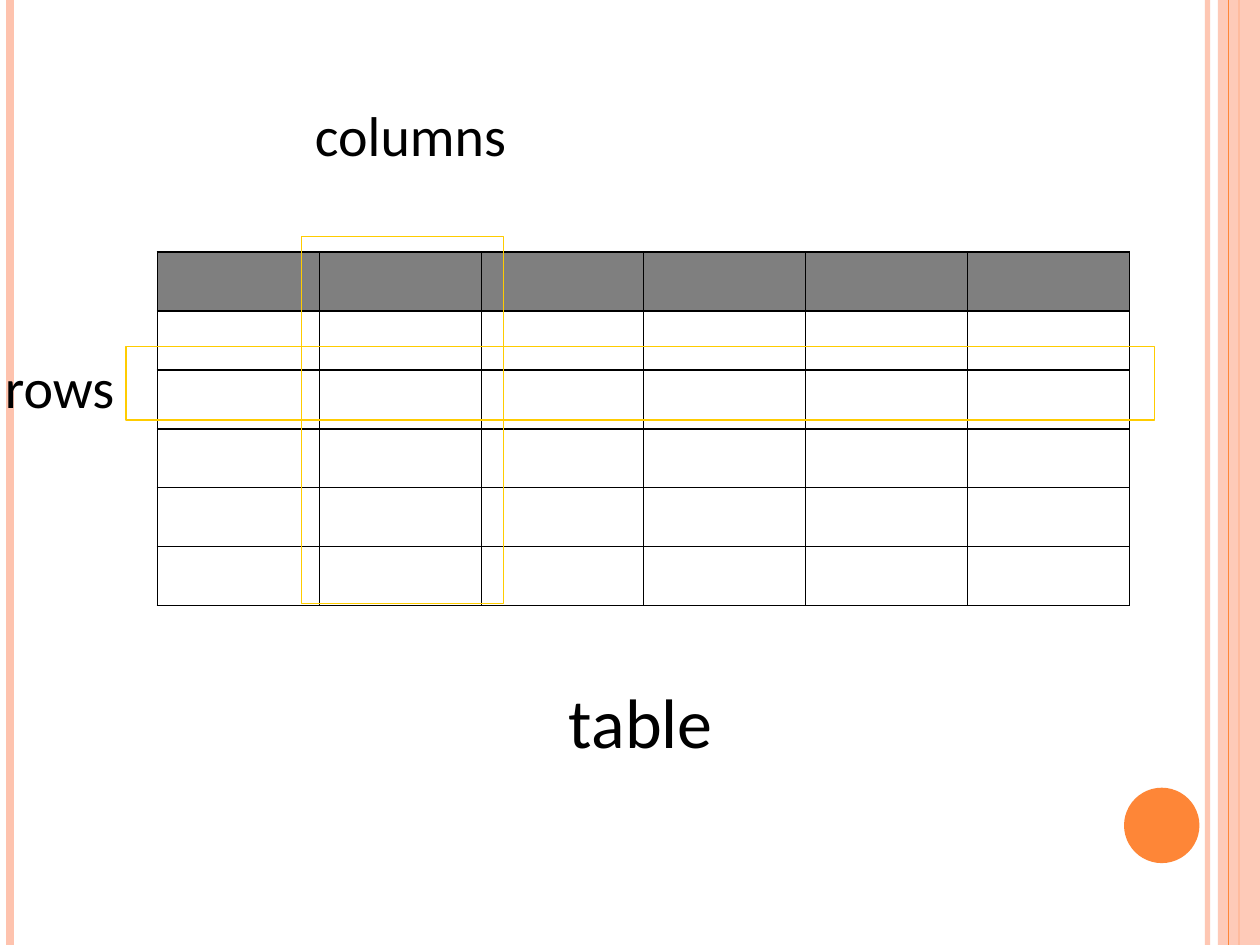
from dataclasses import dataclass

from lxml import etree
from pptx import Presentation
from pptx.dml.color import RGBColor
from pptx.enum.shapes import MSO_CONNECTOR, MSO_SHAPE
from pptx.oxml.ns import qn
from pptx.util import Cm, Pt

STRAIGHT = MSO_CONNECTOR.STRAIGHT
RECTANGLE = MSO_SHAPE.RECTANGLE
OVAL = MSO_SHAPE.OVAL
WIDTH, HEIGHT = 25.4, 19.05


@dataclass(frozen=True)
class Theme:
    font: str = "Calibri"
    label_size: int = 32
    caption_size: int = 40
    text: str = "000000"
    border: str = "000000"
    header: str = "7F7F7F"
    highlight: str = "FFCC00"
    peach: str = "FEC3AE"
    orange: str = "FE8637"


class SlideBuilder:
    def __init__(self, slide, theme):
        self.slide = slide
        self.theme = theme

    def set_opacity(self, shape, percent):
        for color in shape.element.iter(qn("a:srgbClr")):
            etree.SubElement(color, qn("a:alpha"), val=str(percent * 1000))

    def vertical_line(self, x, color, width, opacity=100):
        line = self.slide.shapes.add_connector(STRAIGHT, Cm(x), Cm(0), Cm(x), Cm(HEIGHT))
        line.line.color.rgb = RGBColor.from_string(color)
        line.line.width = Pt(width)
        etree.SubElement(line.element.spPr, qn("a:effectLst"))
        if opacity < 100:
            self.set_opacity(line, opacity)

    def add_shape(self, kind, left, top, width, height):
        shape = self.slide.shapes.add_shape(kind, Cm(left), Cm(top), Cm(width), Cm(height))
        shape.shadow.inherit = False
        return shape

    def filled_shape(self, kind, left, top, width, height, color, opacity=100):
        shape = self.add_shape(kind, left, top, width, height)
        shape.fill.solid()
        shape.fill.fore_color.rgb = RGBColor.from_string(color)
        shape.line.fill.background()
        if opacity < 100:
            self.set_opacity(shape, opacity)

    def highlight_frame(self, left, top, width, height, rotation=0):
        frame = self.add_shape(RECTANGLE, left, top, width, height)
        frame.fill.background()
        frame.line.color.rgb = RGBColor.from_string(self.theme.highlight)
        frame.line.width = Pt(0.75)
        frame.rotation = rotation

    def label(self, text, left, top, width, height, size):
        text_frame = self.slide.shapes.add_textbox(
            Cm(left), Cm(top), Cm(width), Cm(height)).text_frame
        text_frame.word_wrap = True
        text_frame.text = text
        font = text_frame.paragraphs[0].runs[0].font
        font.name = self.theme.font
        font.size = Pt(size)
        font.color.rgb = RGBColor.from_string(self.theme.text)

    def cell_borders(self, cell):
        properties = cell._tc.get_or_add_tcPr()
        for index, side in enumerate(("lnL", "lnR", "lnT", "lnB")):
            border = etree.Element(qn(f"a:{side}"), w=str(Pt(1)))
            fill = etree.SubElement(border, qn("a:solidFill"))
            etree.SubElement(fill, qn("a:srgbClr"), val=self.theme.border)
            properties.insert(index, border)

    def empty_table(self, rows, columns, left, top, width, height):
        table = self.slide.shapes.add_table(
            rows, columns, Cm(left), Cm(top), Cm(width), Cm(height)).table
        table.first_row = False
        table.horz_banding = False
        for cell in table.iter_cells():
            cell.fill.background()
            self.cell_borders(cell)
        for column in range(columns):
            header_cell = table.cell(0, column)
            header_cell.fill.solid()
            header_cell.fill.fore_color.rgb = RGBColor.from_string(self.theme.header)


def main():
    theme = Theme()
    presentation = Presentation()
    presentation.slide_width = Cm(WIDTH)
    presentation.slide_height = Cm(HEIGHT)
    slide = presentation.slides.add_slide(presentation.slide_layouts[6])
    builder = SlideBuilder(slide, theme)

    builder.vertical_line(24.34, theme.peach, 3, opacity=93)
    builder.vertical_line(0.21, theme.peach, 4.5)
    builder.vertical_line(24.98, theme.orange, 1.5)
    builder.filled_shape(RECTANGLE, 24.55, 0, 0.85, HEIGHT, theme.peach, opacity=87)
    builder.vertical_line(24.76, theme.orange, 0.75)
    builder.filled_shape(OVAL, 22.66, 15.88, 1.52, 1.52, theme.orange)

    builder.empty_table(6, 6, 3.17, 5.08, 19.6, 7.13)
    builder.label("table", 11.22, 13.55, 5.08, 1.96, theme.caption_size)
    builder.highlight_frame(2.54, 6.99, 20.74, 1.48)
    builder.highlight_frame(4.42, 6.43, 7.39, 4.07, rotation=270)
    builder.label("columns", 6.1, 1.91, 5.08, 1.62, theme.label_size)
    builder.label("rows", -0.15, 6.99, 3.53, 1.62, theme.label_size)

    presentation.save("out.pptx")


if __name__ == "__main__":
    main()
